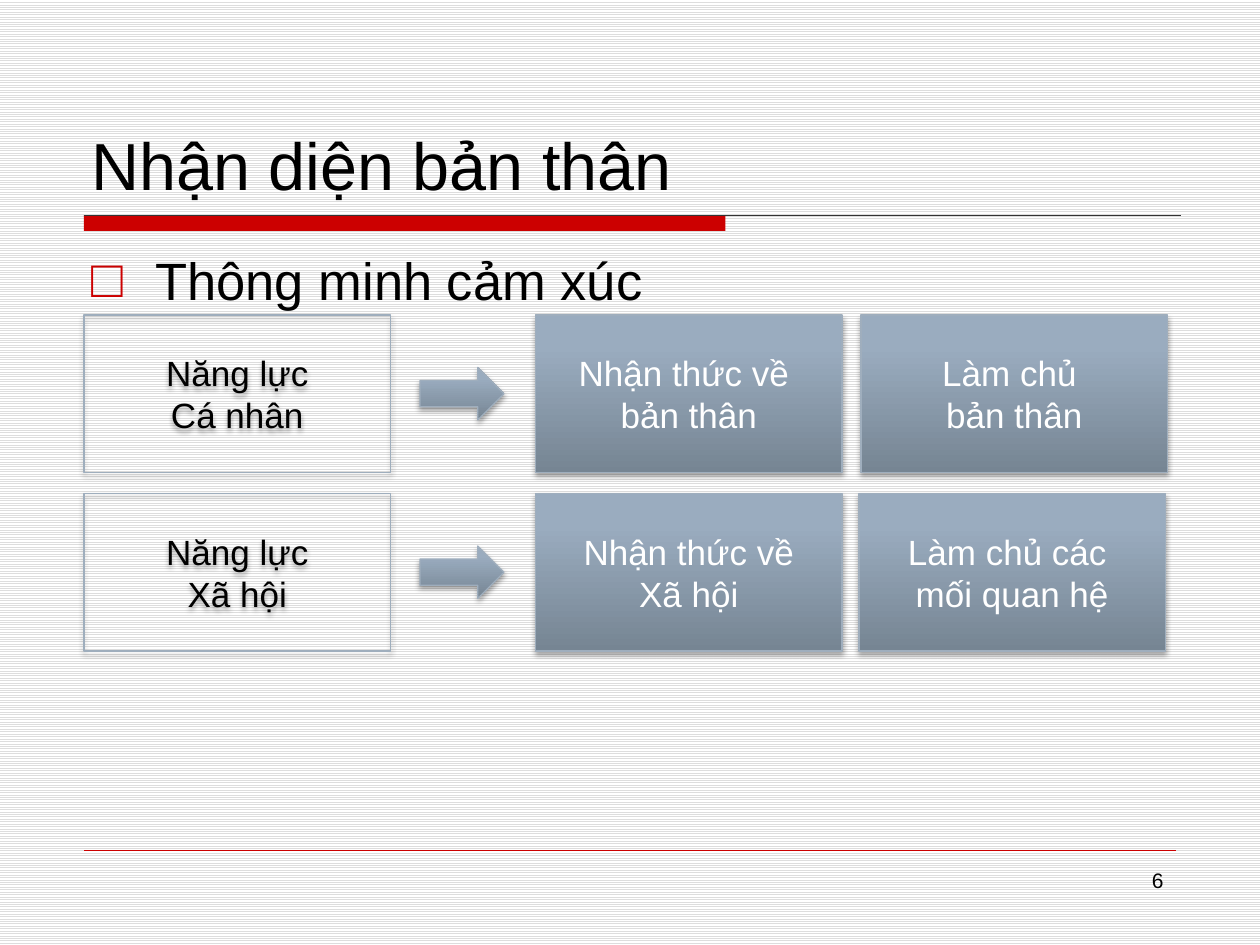
from copy import deepcopy
from dataclasses import dataclass

from lxml import etree
from pptx import Presentation
from pptx import util as u
from pptx.dml.color import RGBColor
from pptx.enum import dml, shapes, text
from pptx.oxml import parse_xml
from pptx.oxml.ns import nsdecls, qn

# The slide is a grid of 120 columns by 90 rows
CELL = u.Inches(10) // 120
FONT = "Arial"
RED, BLACK, WHITE, EDGE = "CC0000", "000000", "FFFFFF", "9FAEBD"
STEEL = ((0, "768593"), (0.8, "9AACBF"), (1, "9AADC1"))
ROW_TOPS = (30, 47)
BOX_COLS, BOX_ROWS = 29.2, 15


@dataclass
class Box:
    col: float
    row: float
    lines: str
    filled: bool = True


BOXES = [
    Box(51, ROW_TOPS[0], "Nhận thức về \nbản thân"),
    Box(82, ROW_TOPS[0], "Làm chủ \nbản thân"),
    Box(51, ROW_TOPS[1], "Nhận thức về\nXã hội"),
    Box(81.8, ROW_TOPS[1], "Làm chủ các \nmối quan hệ"),
    Box(8, ROW_TOPS[0], "Năng lực\nCá nhân", filled=False),
    Box(8, ROW_TOPS[1], "Năng lực\nXã hội", filled=False),
]


def rgb(value: str) -> RGBColor:
    return RGBColor.from_string(value)


def grid(*cells: float) -> list[int]:
    return [round(cell * CELL) for cell in cells]


def write(frame, words: str, size: float, color: str, align=text.PP_ALIGN.LEFT) -> None:
    frame.text = words
    frame.word_wrap = True
    for paragraph in frame.paragraphs:
        paragraph.alignment = align
        for run in paragraph.runs:
            run.font.name, run.font.size = FONT, u.Pt(size)
            run.font.color.rgb = rgb(color)


def fill_steel(fill) -> None:
    """Dark at the bottom, light from a fifth of the way down to the top."""
    fill.gradient()
    fill.gradient_angle = 90
    stops = fill.gradient_stops
    last = stops[1]._element
    last.addnext(deepcopy(last))
    for stop, (position, color) in zip(fill.gradient_stops, STEEL):
        stop.position = position
        stop.color.rgb = rgb(color)


def add_shadow(shape) -> None:
    shape.shadow.inherit = False
    effects = shape._element.spPr.find(qn("a:effectLst"))
    effects.append(parse_xml(
        f'<a:outerShdw {nsdecls("a")} blurRad="{u.Pt(3.1)}" dist="{u.Pt(1.8)}" '
        f'dir="5400000" rotWithShape="0"><a:srgbClr val="{BLACK}">'
        '<a:alpha val="35000"/></a:srgbClr></a:outerShdw>'))


def draw_shape(slide, kind, area: list[int], filled: bool = True):
    shape = slide.shapes.add_shape(kind, *area)
    if filled:
        fill_steel(shape.fill)
    else:
        shape.fill.background()
    shape.line.color.rgb = rgb(EDGE)
    shape.line.width = u.Pt(0.75)
    add_shadow(shape)
    return shape


def draw_box(slide, box: Box) -> None:
    area = grid(box.col, box.row, BOX_COLS, BOX_ROWS)
    shape = draw_shape(slide, shapes.MSO_SHAPE.RECTANGLE, area, box.filled)
    shape.text_frame.vertical_anchor = text.MSO_ANCHOR.MIDDLE
    write(shape.text_frame, box.lines, 20, WHITE if box.filled else BLACK,
          text.PP_ALIGN.CENTER)


def draw_rule(slide, row: float, end_col: float, color: str, width: float) -> None:
    rule = slide.shapes.add_connector(
        shapes.MSO_CONNECTOR.STRAIGHT, *grid(8, row, end_col, row))
    rule.line.color.rgb = rgb(color)
    rule.line.width = u.Pt(width)
    etree.SubElement(rule._element.spPr, qn("a:effectLst"))


def main() -> None:
    deck = Presentation()
    deck.slide_width, deck.slide_height = grid(120, 90)
    slide = deck.slides.add_slide(deck.slide_layouts[5])

    # Background of fine horizontal lines
    backdrop = slide.background.fill
    backdrop.patterned()
    backdrop.pattern = dml.MSO_PATTERN.LIGHT_HORIZONTAL
    backdrop.fore_color.rgb = rgb("DDDDDD")
    backdrop.back_color.rgb = rgb(WHITE)

    # Red bar and rules
    bar = slide.shapes.add_shape(
        shapes.MSO_SHAPE.RECTANGLE, *grid(8, 20.5, 61.1, 1.5))
    bar.shadow.inherit = False
    bar.fill.solid()
    bar.fill.fore_color.rgb = rgb(RED)
    bar.line.fill.background()
    draw_rule(slide, 20.5, 112.5, "333333", 0.75)
    draw_rule(slide, 81, 112, RED, 0.25)

    # Title
    title = slide.shapes.title
    title.left, title.top, title.width, title.height = grid(7.5, 4, 105, 16)
    title.text_frame.vertical_anchor = text.MSO_ANCHOR.BOTTOM
    title.text_frame.auto_size = text.MSO_AUTO_SIZE.NONE
    write(title.text_frame, "Nhận diện bản thân", 38, BLACK)

    # Bulleted topic
    topic = slide.shapes.add_textbox(*grid(7.5, 23, 105, 56)).text_frame
    write(topic, "Thông minh cảm xúc", 30, BLACK)
    bullet = topic.paragraphs[0]._p.get_or_add_pPr()
    bullet.set("marL", str(u.Inches(0.51)))
    bullet.set("indent", str(-u.Inches(0.51)))
    color = etree.SubElement(bullet, qn("a:buClr"))
    etree.SubElement(color, qn("a:srgbClr"), val=RED)
    etree.SubElement(bullet, qn("a:buFont"), typeface=FONT)
    etree.SubElement(bullet, qn("a:buChar"), char="□")

    # Slide number
    number = slide.shapes.add_textbox(*grid(86, 82, 26, 6.25)).text_frame
    write(number, "6", 12, BLACK, text.PP_ALIGN.RIGHT)

    # Competences and what each one leads to
    for box in BOXES:
        draw_box(slide, box)
    for row in ROW_TOPS:
        draw_shape(slide, shapes.MSO_SHAPE.RIGHT_ARROW, grid(40, row + 5, 8, 5))

    deck.save("out.pptx")


if __name__ == "__main__":
    main()
